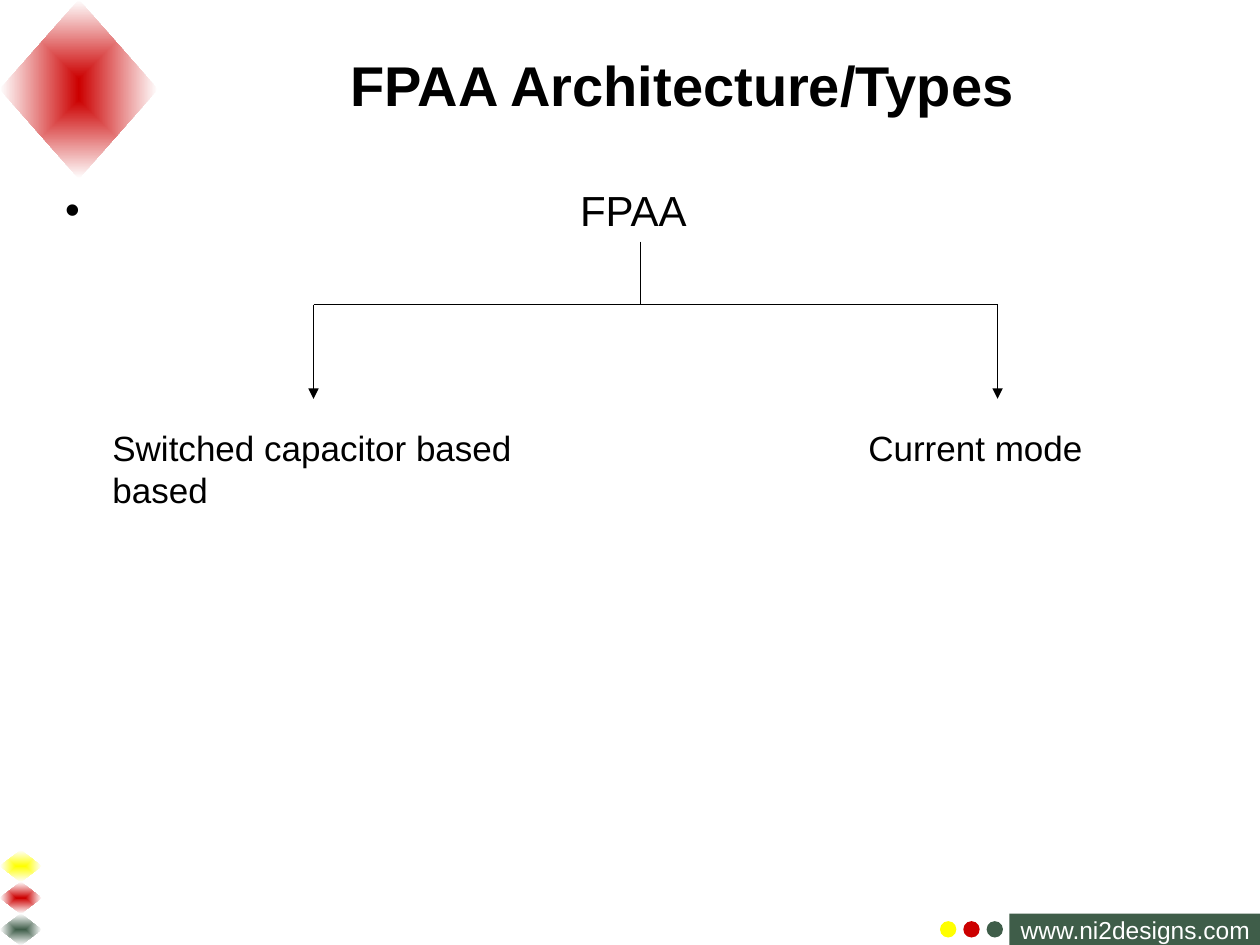
from lxml import etree
from pptx import Presentation, util as u
from pptx.dml.color import RGBColor
from pptx.enum import shapes, text
from pptx.oxml import ns

KIND = shapes.MSO_SHAPE
YELLOW, RED, GREEN = "FFFF00", "CC0000", "3F5D49"


def rgb(code):
    """Turn a hex string into a colour."""
    return RGBColor.from_string(code)


def node(host, tag, **attrs):
    """Append a drawing element to its host."""
    return etree.SubElement(host, ns.qn("a:" + tag), attrs)


class Deck:
    """Hold the style and the current slide."""

    face, ink = "Arial", "000000"

    def __init__(self):
        self.prs = Presentation()
        self.prs.slide_width, self.prs.slide_height = u.Cm(25.4), u.Cm(19.05)
        self.slide = self.prs.slides.add_slide(self.prs.slide_layouts[1])

    def style(self, par, size, color=None, bold=False):
        par.line_spacing = 1.0
        font = par.font
        font.name, font.size, font.bold = self.face, u.Pt(size), bold
        font.color.rgb = rgb(color or self.ink)

    def place(self, index, left, top, width, height):
        box = self.slide.placeholders[index]
        box.left, box.top = u.Cm(left), u.Cm(top)
        box.width, box.height = u.Cm(width), u.Cm(height)
        box.text_frame.auto_size = text.MSO_AUTO_SIZE.NONE
        return box.text_frame

    def title(self, words, *area):
        frame = self.place(0, *area)
        frame.vertical_anchor = text.MSO_ANCHOR.MIDDLE
        par = frame.paragraphs[0]
        par.text, par.alignment = words, text.PP_ALIGN.CENTER
        self.style(par, 32, bold=True)

    def body(self, rows, *area):
        frame = self.place(1, *area)
        for i, (words, size, gap, tab) in enumerate(rows):
            par = frame.add_paragraph() if i else frame.paragraphs[0]
            par.text, par.space_before = words, u.Pt(gap)
            props = par._p.get_or_add_pPr()
            props.set("marL", str(u.Cm(0.95)))
            props.set("indent", str(u.Cm(-0.95 if tab else 0)))
            if tab:
                node(props, "buChar", char="•")
                stops = node(props, "tabLst")
                node(stops, "tab", pos=str(u.Cm(tab)), algn="l")
            else:
                node(props, "buNone")
            self.style(par, size)

    def shape(self, kind, color, left, top, width, height):
        item = self.slide.shapes.add_shape(
            kind, u.Cm(left), u.Cm(top), u.Cm(width), u.Cm(height))
        item.shadow.inherit = False
        item.line.fill.background()
        item.fill.solid()
        item.fill.fore_color.rgb = rgb(color)
        return item

    def gem(self, color, *area):
        item = self.shape(KIND.DIAMOND, color, *area)
        item.fill.gradient()
        for stop, shade in zip(item.fill.gradient_stops, (color, "FFFFFF")):
            stop.color.rgb = rgb(shade)
        grad = item._element.spPr.find(ns.qn("a:gradFill"))
        grad.remove(grad.find(ns.qn("a:lin")))
        path = node(grad, "path", path="rect")
        node(path, "fillToRect", **dict.fromkeys("ltrb", "50000"))

    def label(self, words, color, *area):
        frame = self.shape(KIND.RECTANGLE, color, *area).text_frame
        frame.word_wrap = False
        frame.vertical_anchor = text.MSO_ANCHOR.MIDDLE
        par = frame.paragraphs[0]
        par.text, par.alignment = words, text.PP_ALIGN.CENTER
        self.style(par, 14, "FFFFFF")

    def line(self, x1, y1, x2, y2, arrow=False):
        item = self.slide.shapes.add_connector(
            shapes.MSO_CONNECTOR.STRAIGHT,
            u.Cm(x1), u.Cm(y1), u.Cm(x2), u.Cm(y2))
        item.line.width = u.Pt(0.75)
        item.line.color.rgb = rgb(self.ink)
        if arrow:
            node(item.line._get_or_add_ln(), "tailEnd", type="triangle")
        node(item._element.spPr, "effectLst")


def main():
    """Build the slide and save it."""
    deck = Deck()
    deck.gem(RED, 0, 0, 3.18, 3.6)
    for i, color in enumerate((YELLOW, RED, GREEN)):
        deck.shape(KIND.OVAL, color, 18.95 + 0.47 * i, 18.57, 0.33, 0.33)
        deck.gem(color, 0, 17.14 + 0.64 * i, 0.84, 0.64)
    deck.label("www.ni2designs.com", GREEN, 20.35, 18.42, 5.08, 0.64)

    deck.title("FPAA Architecture/Types", 2.96, 0.85, 21.59, 1.69)
    tabs = "\t" * 6
    deck.body((
        ("\tFPAA", 24, 0, 10.38),
        (f"Switched capacitor based{tabs}Current mode based", 20, 109, None),
    ), 1.06, 3.6, 22.43, 13.69)

    left, mid, right, bar = 6.32, 12.91, 20.11, 6.14
    deck.line(mid, 4.87, mid, bar)
    deck.line(left, bar, right, bar)
    for x in (left, right):
        deck.line(x, bar, x, 8.04, arrow=True)
    deck.prs.save("out.pptx")


if __name__ == "__main__":
    main()
